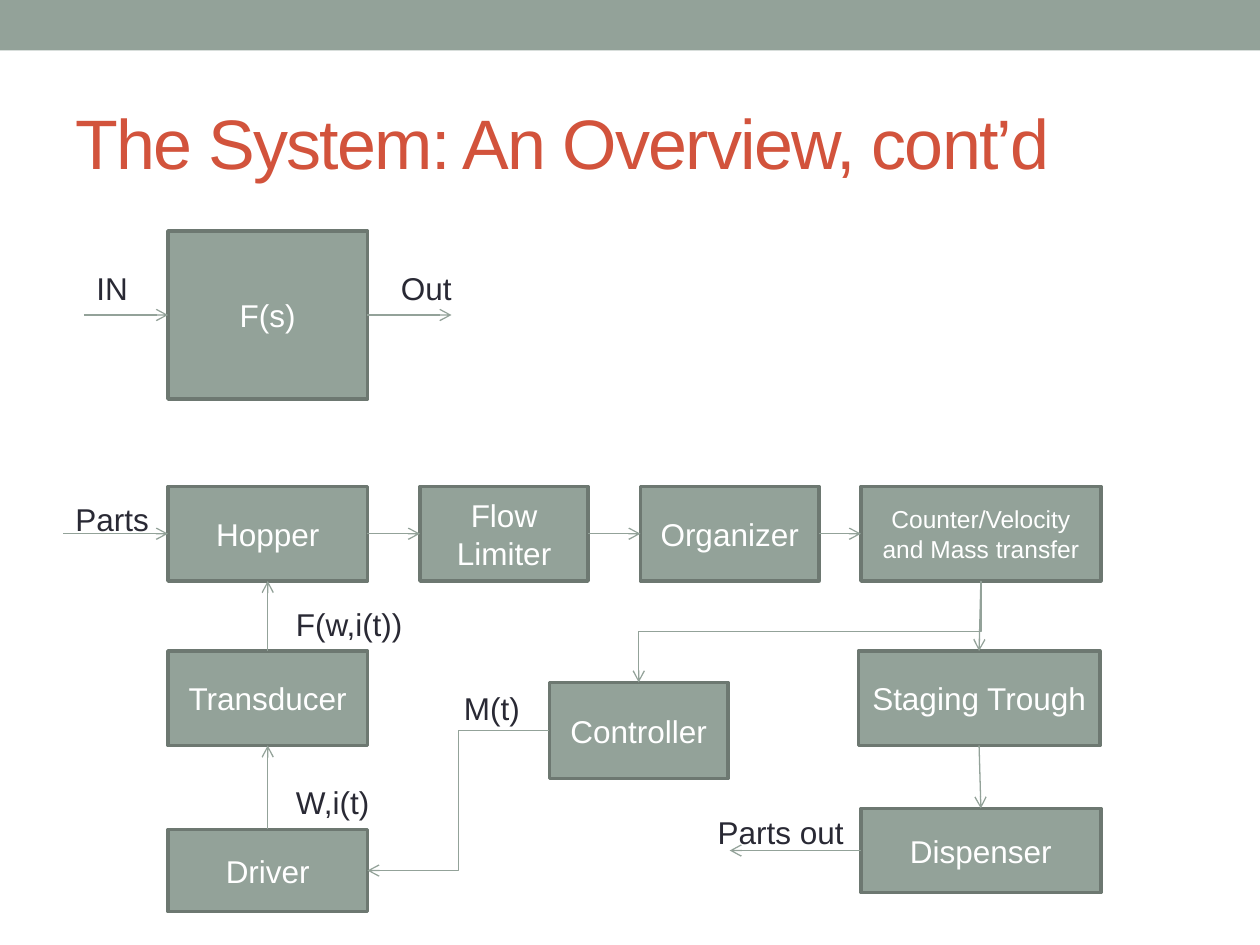
from lxml import etree
from pptx import Presentation
from pptx.dml.color import RGBColor
from pptx.enum.shapes import MSO_CONNECTOR, MSO_SHAPE
from pptx.enum.text import MSO_ANCHOR, PP_ALIGN
from pptx.oxml.ns import qn
from pptx.util import Pt

RECT = MSO_SHAPE.RECTANGLE
STRAIGHT, ELBOW = MSO_CONNECTOR.STRAIGHT, MSO_CONNECTOR.ELBOW
MIDDLE, LEFT, CENTER = MSO_ANCHOR.MIDDLE, PP_ALIGN.LEFT, PP_ALIGN.CENTER
TOP, WEST, BOTTOM, EAST = range(4)  # connection sites of a rectangle

FONT = "Arial"
SAGE, EDGE, WHITE, INK, RUST = "93A299", "6D7871", "FFFFFF", "292934", "D2533C"


def rgb(value):
    return RGBColor.from_string(value)


def add_run(p, text, size, color):
    r = p.add_run()
    r.text = text
    r.font.name, r.font.size = FONT, Pt(size)
    r.font.color.rgb = rgb(color)
    return r


def add_title(s, text):
    sp = s.shapes.title
    sp.left, sp.top, sp.width, sp.height = Pt(36), Pt(42), Pt(648), Pt(78)
    tf = sp.text_frame
    tf.vertical_anchor = MIDDLE
    p = tf.paragraphs[0]
    p.alignment = LEFT
    r = add_run(p, text, 40, RUST)
    r.font._element.set("spc", "-100")


def add_rect(s, x, y, w, h):
    sp = s.shapes.add_shape(RECT, Pt(x), Pt(y), Pt(w), Pt(h))
    sp.shadow.inherit = False
    sp.fill.solid()
    sp.fill.fore_color.rgb = rgb(SAGE)
    sp.line.fill.background()
    return sp


def add_block(s, text, x, y, w, h, size=18):
    sp = add_rect(s, x, y, w, h)
    sp.line.color.rgb = rgb(EDGE)
    sp.line.width = Pt(2.08)
    tf = sp.text_frame
    tf.word_wrap = True
    tf.vertical_anchor = MIDDLE
    p = tf.paragraphs[0]
    p.alignment = CENTER
    add_run(p, text, size, WHITE)
    return sp


def add_label(s, text, x, y, w, h=29):
    tf = s.shapes.add_textbox(Pt(x), Pt(y), Pt(w), Pt(h)).text_frame
    tf.word_wrap = True
    add_run(tf.paragraphs[0], text, 18, INK)


def add_arrow(s, x1, y1, x2, y2, kind=STRAIGHT):
    cxn = s.shapes.add_connector(kind, Pt(x1), Pt(y1), Pt(x2), Pt(y2))
    cxn.line.color.rgb = rgb(SAGE)
    cxn.line.width = Pt(0.75)
    etree.SubElement(cxn.line._get_or_add_ln(), qn("a:tailEnd"), type="arrow")
    etree.SubElement(cxn._element.spPr, qn("a:effectLst"))
    return cxn


def site(sp, side):
    """Middle of one side of a block, in points."""
    fx, fy = [(0.5, 0), (0, 0.5), (0.5, 1), (1, 0.5)][side]
    return sp.left.pt + fx * sp.width.pt, sp.top.pt + fy * sp.height.pt


def join(s, a, side_a, b, side_b):
    cxn = add_arrow(s, *site(a, side_a), *site(b, side_b))
    cxn.begin_connect(a, side_a)
    cxn.end_connect(b, side_b)


def add_input(s, sp, length):
    x, y = site(sp, WEST)
    add_arrow(s, x - length, y, x, y).end_connect(sp, WEST)


def add_output(s, sp, side, length):
    x, y = site(sp, side)
    end = x + length if side == EAST else x - length
    add_arrow(s, x, y, end, y).begin_connect(sp, side)


def add_drop_elbow(s, a, b):
    """Elbow that leaves a downwards and enters b from above, to the left."""
    (x1, y1), (x2, y2) = site(a, BOTTOM), site(b, TOP)
    cx, cy = (x1 + x2) / 2, (y1 + y2) / 2
    dx, dy = (y2 - y1) / 2, (x1 - x2) / 2  # half extents before the turn
    cxn = add_arrow(s, cx - dx, cy - dy, cx + dx, cy + dy, ELBOW)
    cxn._element.spPr.find(qn("a:xfrm")).set("rot", "5400000")


def main():
    prs = Presentation()
    prs.slide_width, prs.slide_height = Pt(720), Pt(540)
    s = prs.slides.add_slide(prs.slide_layouts[5])

    # Header
    add_rect(s, 0, 0, 720, 28.8)
    add_title(s, "The System: An Overview, cont’d")

    # Overall transfer function
    system = add_block(s, "F(s)", 96, 132, 114, 96)
    add_input(s, system, 48)
    add_output(s, system, EAST, 48)

    # Top row: parts flow to the right
    row, h = 278, 54
    hopper = add_block(s, "Hopper", 96, row, 114, h)
    limiter = add_block(s, "Flow Limiter", 240, row, 96, h)
    organizer = add_block(s, "Organizer", 366, row, 102, h)
    counter = add_block(s, "Counter/Velocity and Mass transfer", 492, row, 137, h, 14)

    # Lower blocks
    transducer = add_block(s, "Transducer", 96, 372, 114, h)
    driver = add_block(s, "Driver", 96, 474, 114, 47)
    controller = add_block(s, "Controller", 314, 390, 102, 55)
    trough = add_block(s, "Staging Trough", 490.5, 372, 138, h)
    dispenser = add_block(s, "Dispenser", 492, 462, 137, 48)

    # Parts path
    add_input(s, hopper, 60)
    chain = [hopper, limiter, organizer, counter]
    for a, b in zip(chain, chain[1:]):
        join(s, a, EAST, b, WEST)
    join(s, counter, BOTTOM, trough, TOP)
    join(s, trough, BOTTOM, dispenser, TOP)
    add_output(s, dispenser, WEST, 75)

    # Feedback path
    add_drop_elbow(s, counter, controller)
    add_arrow(s, *site(controller, WEST), *site(driver, EAST), ELBOW)
    join(s, driver, TOP, transducer, BOTTOM)
    join(s, transducer, TOP, hopper, BOTTOM)

    # Signal labels
    for label in [
        ("IN", 48, 150, 60),
        ("Out", 222, 150, 48),
        ("Parts", 36, 282, 60),
        ("F(w,i(t))", 162, 342, 78),
        ("W,i(t)", 162, 444, 60),
        ("M(t)", 258, 390, 48),
        ("Parts out", 403, 461, 102, 51),
    ]:
        add_label(s, *label)

    prs.save("out.pptx")


if __name__ == "__main__":
    main()
